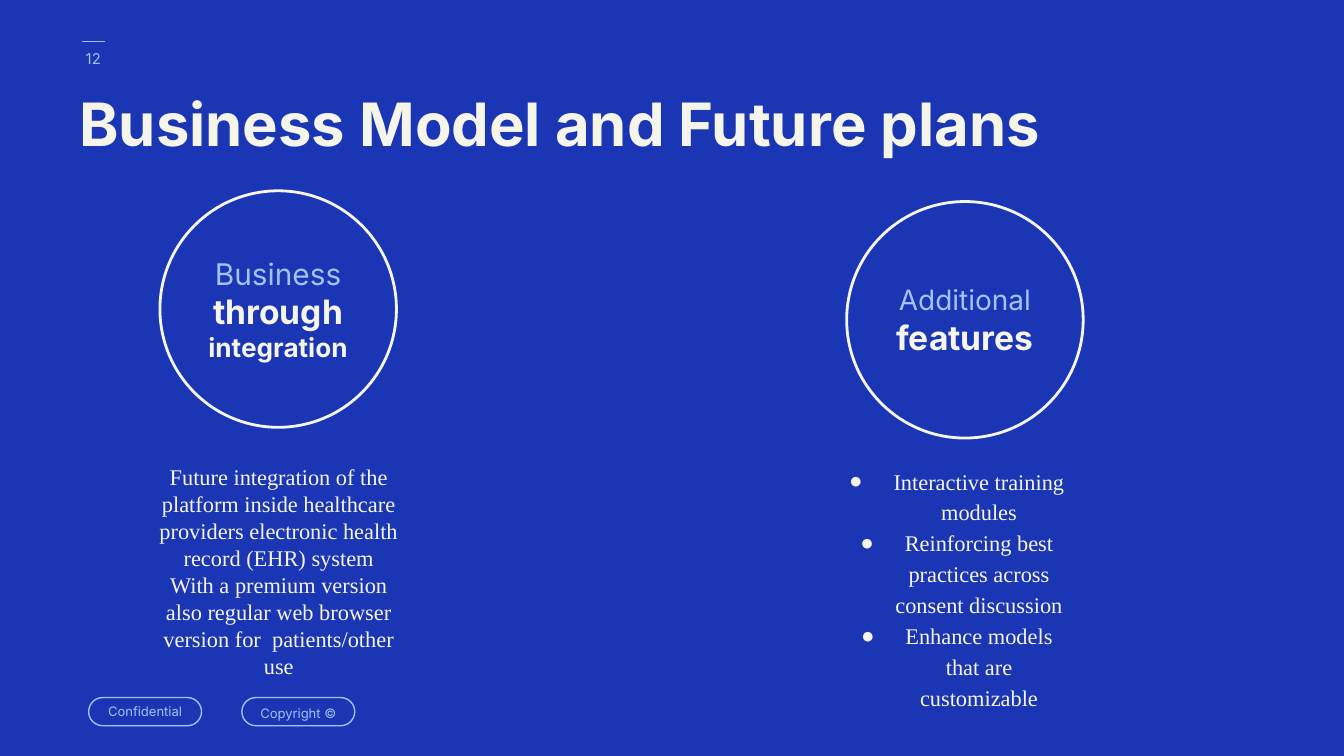
"""Build the business model and future plans slide."""
from dataclasses import dataclass

from lxml import etree
from pptx import Presentation
from pptx.dml.color import RGBColor
from pptx.enum.shapes import MSO_CONNECTOR, MSO_SHAPE
from pptx.enum.text import MSO_ANCHOR, MSO_AUTO_SIZE, PP_ALIGN
from pptx.oxml.ns import qn
from pptx.util import Inches, Pt

ROUND = MSO_SHAPE.ROUNDED_RECTANGLE
STRAIGHT = MSO_CONNECTOR.STRAIGHT
TOP, MIDDLE = MSO_ANCHOR.TOP, MSO_ANCHOR.MIDDLE
NO_FIT = MSO_AUTO_SIZE.NONE
LEFT, CENTER = PP_ALIGN.LEFT, PP_ALIGN.CENTER
WIDTH = Inches(10)
HEIGHT = WIDTH * 9 // 16


@dataclass(frozen=True)
class Theme:
    """Colours, fonts, type sizes and line widths."""
    back: str = "1A36B4"
    cream: str = "F6F5EC"
    sky: str = "A4C2F4"
    sans: str = "Inter"
    serif: str = "Times New Roman"
    head: int = 32
    strong: int = 18
    lead: int = 16
    minor: int = 15
    small: int = 14
    body: int = 12
    page: int = 8
    note: int = 7
    thin: float = 0.75
    thick: float = 1.5


THEME = Theme()


@dataclass(frozen=True)
class Box:
    """Place and size in inches."""
    left: float
    top: float
    width: float
    height: float

    def spread(self) -> list:
        """Give the four lengths."""
        return [Inches(n) for n in (self.left, self.top, self.width, self.height)]


@dataclass(frozen=True)
class Piece:
    """A run of text, with a line break after it if wanted."""
    text: str
    size: int
    color: str = THEME.cream
    font: str = THEME.sans
    bold: bool = False
    split: bool = False


@dataclass(frozen=True)
class Pill:
    """A round outline with text."""
    box: Box
    lines: list
    color: str
    weight: float
    space: float = 1.0


@dataclass(frozen=True)
class Block:
    """A column of body text."""
    box: Box
    texts: list
    space: float = 1.0
    dots: bool = False


def apply(target, values: dict) -> None:
    """Set each value on the target."""
    for name, value in values.items():
        setattr(target, name, value)


def add_dot(para) -> None:
    """Give a paragraph a hanging round bullet."""
    props = para._p.get_or_add_pPr()
    for name, value in {"marL": 0.5, "indent": -0.33}.items():
        props.set(name, str(int(Inches(value))))
    color = etree.SubElement(props, qn("a:buClr"))
    etree.SubElement(color, qn("a:srgbClr"), val=THEME.cream)
    etree.SubElement(props, qn("a:buFont"), typeface=THEME.serif)
    etree.SubElement(props, qn("a:buChar"), char="●")


def write(shape, lines: list, align=CENTER, anchor=TOP, space: float = 1.0,
          dots: bool = False) -> None:
    """Fill a shape with paragraphs of pieces."""
    frame = shape.text_frame
    edge = Inches(0.1)
    apply(frame, {"word_wrap": True, "auto_size": NO_FIT, "vertical_anchor": anchor,
                  "margin_left": edge, "margin_right": edge,
                  "margin_top": edge, "margin_bottom": edge})
    for spot, line in enumerate(lines):
        para = frame.add_paragraph() if spot else frame.paragraphs[0]
        apply(para, {"alignment": align, "line_spacing": space})
        if dots:
            add_dot(para)
        for piece in line:
            run = para.add_run()
            run.text = piece.text
            apply(run.font, {"name": piece.font, "size": Pt(piece.size),
                             "bold": piece.bold})
            run.font.color.rgb = RGBColor.from_string(piece.color)
            if piece.split:
                para.add_line_break()


def paint(line, color: str, weight: float) -> None:
    """Set the colour and width of a line."""
    line.color.rgb = RGBColor.from_string(color)
    line.width = Pt(weight)


def draw_pill(slide, pill: Pill) -> None:
    """Draw a round outline and its text."""
    shape = slide.shapes.add_shape(ROUND, *pill.box.spread())
    shape.adjustments[0] = 0.5
    shape.shadow.inherit = False
    shape.fill.background()
    paint(shape.line, pill.color, pill.weight)
    write(shape, pill.lines, anchor=MIDDLE, space=pill.space)


def draw_block(slide, block: Block) -> None:
    """Draw a column of body text."""
    shape = slide.shapes.add_textbox(*block.box.spread())
    lines = [[Piece(text, THEME.body, font=THEME.serif)] for text in block.texts]
    write(shape, lines, space=block.space, dots=block.dots)


def draw_title(slide, text: str) -> None:
    """Place and format the title."""
    title = slide.shapes.title
    names = ("left", "top", "width", "height")
    apply(title, dict(zip(names, Box(0.49, 0.65, 7.4, 0.91).spread())))
    write(title, [[Piece(text, THEME.head, bold=True)]], align=LEFT, space=0.8)


def draw_page(slide, number: str) -> None:
    """Draw the page number and the rule above it."""
    shape = slide.shapes.add_textbox(*Box(0.46, 0.22, 0.47, 0.43).spread())
    write(shape, [[Piece(number, THEME.page, THEME.sky)]], anchor=MIDDLE)
    ends = [Inches(n) for n in (0.78, 0.31, 0.61, 0.31)]
    rule = slide.shapes.add_connector(STRAIGHT, *ends)
    paint(rule.line, THEME.sky, THEME.thin)
    etree.SubElement(rule._element.spPr, qn("a:effectLst"))


def label(left: float, text: str, space: float = 1.0) -> Pill:
    """Make a footer label."""
    piece = Piece(text, THEME.note, THEME.sky)
    return Pill(Box(left, 5.19, 0.84, 0.21), [[piece]], THEME.sky, THEME.thin, space)


def ring(left: float, top: float, lines: list) -> Pill:
    """Make a large circle."""
    return Pill(Box(left, top, 1.76, 1.76), lines, THEME.cream, THEME.thick)


LABELS = [label(0.66, "Confidential"), label(1.8, "Copyright ©", 1.15)]
RINGS = [
    ring(1.19, 1.42, [
        [Piece("Business", THEME.lead, THEME.sky, split=True),
         Piece("through", THEME.strong, bold=True)],
        [Piece("integration", THEME.small, bold=True)]]),
    ring(6.3, 1.5, [
        [Piece("Additional", THEME.minor, THEME.sky, split=True),
         Piece("features", THEME.strong, bold=True)]]),
]
BLOCKS = [
    Block(Box(1.06, 3.35, 2.03, 0.96), [
        "Future integration of the platform inside healthcare providers "
        "electronic health record (EHR) system",
        "With a premium version also regular web browser version for  "
        "patients/other use"]),
    Block(Box(6.02, 3.35, 2.03, 0.96), [
        "Interactive training modules",
        "Reinforcing best practices across consent discussion",
        "Enhance models that are customizable"], 1.15, True),
]


def main() -> None:
    """Build and save the slide."""
    deck = Presentation()
    apply(deck, {"slide_width": WIDTH, "slide_height": HEIGHT})
    slide = deck.slides.add_slide(deck.slide_layouts[5])
    fill = slide.background.fill
    fill.solid()
    fill.fore_color.rgb = RGBColor.from_string(THEME.back)
    draw_page(slide, "12")
    draw_title(slide, "Business Model and Future plans")
    for block in BLOCKS:
        draw_block(slide, block)
    for pill in LABELS + RINGS:
        draw_pill(slide, pill)
    deck.save("out.pptx")


if __name__ == "__main__":
    main()
